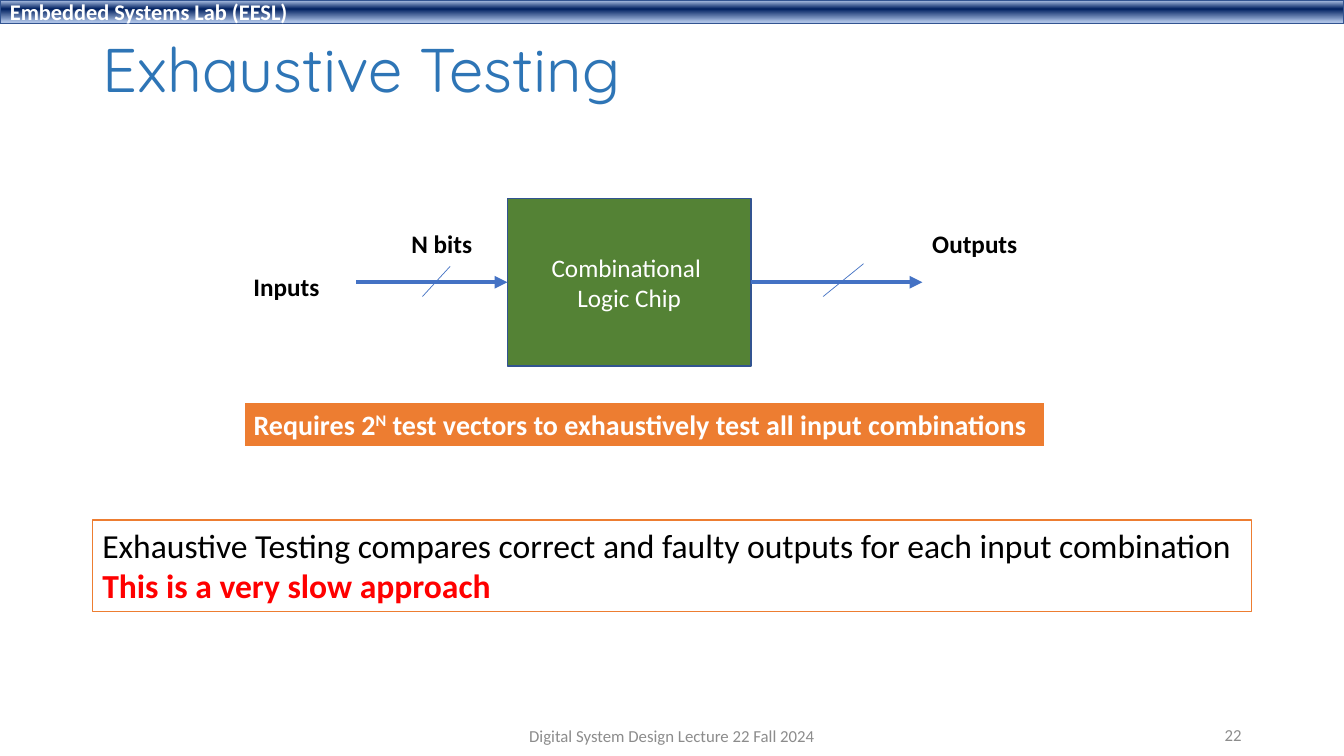
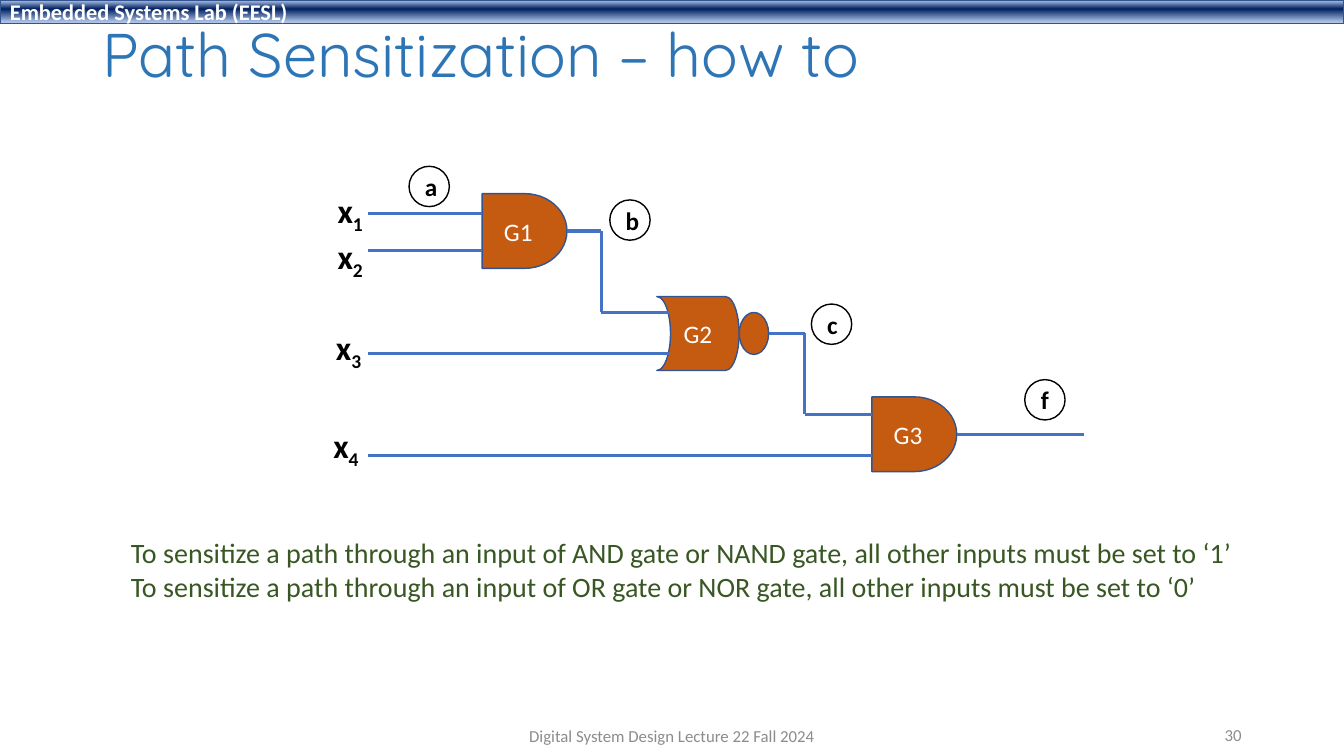
"""Build two digital-design lecture slides on a grid of 160 columns by 90 rows."""
from itertools import pairwise

from lxml.etree import SubElement
from pptx import Presentation
from pptx.dml.color import RGBColor
from pptx.enum.shapes import MSO_CONNECTOR as Connector
from pptx.enum.shapes import MSO_SHAPE as Shape
from pptx.enum.text import MSO_ANCHOR as Anchor
from pptx.enum.text import PP_ALIGN as Align
from pptx.oxml.ns import qn
from pptx.util import Inches, Pt

COLUMNS, ROWS = 160, 90
CELL = Inches(1) // 12
MARGIN, CONTENT_WIDTH = 11, 138
LABEL_HEIGHT, NODE_SIZE = 4.8, 4.8
GATE_WIDTH, GATE_HEIGHT = 10.1, 8.9

WHITE = RGBColor(0xFF, 0xFF, 0xFF)
BLACK = RGBColor(0x00, 0x00, 0x00)
RED = RGBColor(0xFF, 0x00, 0x00)
GREY = RGBColor(0x8C, 0x8C, 0x8C)
TITLE_BLUE = RGBColor(0x2E, 0x75, 0xB6)
WIRE_BLUE = RGBColor(0x44, 0x72, 0xC4)
EDGE_BLUE = RGBColor(0x32, 0x54, 0x91)
CHIP_GREEN = RGBColor(0x54, 0x82, 0x35)
NOTE_GREEN = RGBColor(0x38, 0x57, 0x23)
ORANGE = RGBColor(0xED, 0x7D, 0x31)
GATE_ORANGE = RGBColor(0xC5, 0x5A, 0x11)
BAND_NAVY = RGBColor(0x00, 0x20, 0x60)
BAND_TOP = RGBColor(0xAB, 0xC0, 0xE4)
BAND_BOTTOM = RGBColor(0xAC, 0xC1, 0xE5)
BAND_STOPS = ((2, BAND_TOP), (38, BAND_NAVY), (93, BAND_BOTTOM))

BODY_FONT, TITLE_FONT = "Calibri", "Quicksand"
BAND_TEXT = "Embedded Systems Lab (EESL)"
FOOTER_TEXT = "Digital System Design Lecture 22 Fall 2024"


def cells(*values):
    return [round(value * CELL) for value in values]


def write(box, lines, size, color, bold=False, align=Align.LEFT,
          anchor=Anchor.TOP, wrap=True, font=BODY_FONT):
    frame = box.text_frame
    frame.text = "\n".join(lines)
    frame.word_wrap = wrap
    frame.vertical_anchor = anchor
    for para in frame.paragraphs:
        para.alignment = align
        for span in para.runs:
            style = span.font
            style.name, style.size, style.bold = font, Pt(size), bold
            style.color.rgb = color


def shift_part(box, text, part, baseline):
    para = box.text_frame.paragraphs[0]
    first = para.runs[0]
    before, after = text.split(part, 1)
    first.text = before
    for piece, shift in ((part, baseline), (after, 0)):
        if piece:
            span = para.add_run()
            span.text = piece
            span.font.name, span.font.size = first.font.name, first.font.size
            span.font.bold = first.font.bold
            span.font.color.rgb = first.font.color.rgb
            span.font._element.set("baseline", str(shift * 1000))


def add_text(page, area, lines, size, color, **style):
    box = page.shapes.add_textbox(*cells(*area))
    write(box, lines, size, color, **style)
    return box


def add_block(page, kind, area, fill=None, edge=EDGE_BLUE, width=1):
    block = page.shapes.add_shape(kind, *cells(*area))
    block.shadow.inherit = False
    if fill is None:
        block.fill.background()
    else:
        block.fill.solid()
        block.fill.fore_color.rgb = fill
    block.line.color.rgb = edge
    block.line.width = Pt(width)
    return block


def add_wire(page, *points, width=2.25, arrow=False):
    for start, end in pairwise(points):
        wire = page.shapes.add_connector(Connector.STRAIGHT, *cells(*start, *end))
        wire.line.color.rgb = WIRE_BLUE
        wire.line.width = Pt(width)
        if arrow:
            SubElement(wire.line._get_or_add_ln(), qn("a:tailEnd"), type="triangle")
        SubElement(wire._element.spPr, qn("a:effectLst"))


def add_band(page):
    band = add_block(page, Shape.RECTANGLE, (0, 0, COLUMNS, 2.8), BAND_NAVY)
    band._element.remove(band._element.find(qn("p:style")))
    band.fill.gradient()
    band.fill.gradient_angle = 270
    stops = band._element.spPr.find(qn("a:gradFill")).find(qn("a:gsLst"))
    for stop in list(stops):
        stops.remove(stop)
    for position, color in BAND_STOPS:
        stop = SubElement(stops, qn("a:gs"), pos=str(position * 1000))
        SubElement(stop, qn("a:srgbClr"), val=str(color))
    write(band, [BAND_TEXT], 16, WHITE, bold=True, anchor=Anchor.MIDDLE)


def add_page(deck, title, title_top, title_height, number):
    page = deck.slides.add_slide(deck.slide_layouts[6])
    add_band(page)
    heading = add_text(page, (MARGIN, title_top, CONTENT_WIDTH, title_height), [title],
                       44, TITLE_BLUE, font=TITLE_FONT, anchor=Anchor.MIDDLE)
    heading.text_frame.paragraphs[0].line_spacing = 0.9
    add_text(page, (53, 85.2, 54, LABEL_HEIGHT), [FOOTER_TEXT], 12, GREY,
             align=Align.CENTER, anchor=Anchor.MIDDLE)
    add_text(page, (113, 85.1, 36, LABEL_HEIGHT), [str(number)], 12, GREY,
             align=Align.RIGHT, anchor=Anchor.MIDDLE)
    return page


def add_gate(page, kind, name, left, middle, width=GATE_WIDTH, height=GATE_HEIGHT):
    gate = add_block(page, kind, (left, middle - height / 2, width, height), GATE_ORANGE)
    write(gate, [name], 18, WHITE, align=Align.CENTER, anchor=Anchor.MIDDLE)
    return gate


def add_node(page, name, left, top):
    node = add_block(page, Shape.OVAL, (left, top, NODE_SIZE, NODE_SIZE), edge=BLACK)
    write(node, [name], 18, BLACK, bold=True, align=Align.CENTER, anchor=Anchor.MIDDLE)


def add_input(page, number, left, top):
    text = f"x{number}"
    label = add_text(page, (left, top, 5.6, 6), [text], 24, BLACK, bold=True, wrap=False)
    shift_part(label, text, str(number), -25)


def build_exhaustive_testing(deck):
    page = add_page(deck, "Exhaustive Testing", 3.4, 10.4, 22)
    chip_left, chip_width, middle = 60.4, 29, 33.6
    chip_right = chip_left + chip_width
    chip = add_block(page, Shape.RECTANGLE, (chip_left, middle - 10, chip_width, 20),
                     CHIP_GREEN)
    write(chip, ["Combinational ", "Logic Chip"], 18, WHITE,
          align=Align.CENTER, anchor=Anchor.MIDDLE)

    for start, end in ((42.4, chip_left), (chip_right, 109.8)):
        add_wire(page, (start, middle), (end, middle), width=3, arrow=True)
    add_wire(page, (53.6, 31.7), (50.3, 35.3), width=0.5)
    add_wire(page, (102.8, 31.4), (98, 35.3), width=0.5)
    for name, left, top, width in (("N bits", 47.8, 26.6, 9.7),
                                   ("Inputs", 29, 31.7, 10.3),
                                   ("Outputs", 109.8, 26.6, 12.6)):
        add_text(page, (left, top, width, LABEL_HEIGHT), [name], 18, BLACK,
                 bold=True, wrap=False)

    rule = "Requires 2N test vectors to exhaustively test all input combinations"
    banner = add_block(page, Shape.RECTANGLE, (29, 47.9, 95.4, 5.3), ORANGE, WHITE, 1.5)
    write(banner, [rule], 20, WHITE, bold=True, wrap=False)
    shift_part(banner, rule, "N", 30)

    summary = add_block(page, Shape.RECTANGLE, (MARGIN, 61.9, CONTENT_WIDTH, 10.9),
                        WHITE, ORANGE)
    write(summary, [
        "Exhaustive Testing compares correct and faulty outputs for each input combination",
        "This is a very slow approach",
    ], 24, BLACK, wrap=False)
    warning = summary.text_frame.paragraphs[1].runs[0].font
    warning.bold, warning.color.rgb = True, RED


def build_path_sensitization(deck):
    page = add_page(deck, "Path Sensitization – how to", 1.1, 11.5, 30)
    inputs_x, first_x, second_x, third_x = 43.8, 57.4, 79.8, 103.8
    first_y, second_y, third_y = 27.5, 39.7, 51.7

    add_gate(page, Shape.FLOWCHART_DELAY, "G1", first_x, first_y)
    nor_gate = add_gate(page, Shape.FLOWCHART_STORED_DATA, "G2", 78.2, second_y, 9.8, 8.8)
    nor_gate._element.spPr.find(qn("a:xfrm")).set("flipH", "1")
    add_block(page, Shape.OVAL, (88, second_y - 2.5, 3.5, 5), GATE_ORANGE)
    add_gate(page, Shape.FLOWCHART_DELAY, "G3", third_x, third_y)

    for end, height in ((first_x, 25.4), (first_x, 29.8), (second_x, 42.1), (third_x, 54.2)):
        add_wire(page, (inputs_x, height), (end, height))
    for start, bend, end, top, bottom in ((67.5, 71.6, second_x, first_y, 37.2),
                                          (91.5, 95.8, third_x, second_y, 49.3)):
        add_wire(page, (start, top), (bend, top), (bend, bottom), (end, bottom))
    add_wire(page, (third_x + GATE_WIDTH, third_y), (129, third_y))

    label_places = ((39, 22), (39, 27.5), (38.8, 38.3), (38.5, 50))
    for number, (left, top) in enumerate(label_places, 1):
        add_input(page, number, left, top)
    for name, left, top in (("a", 48.7, 19.8), ("b", 72.6, 23.8),
                            ("c", 96.6, 36.2), ("f", 122, 45.2)):
        add_node(page, name, left, top)

    add_text(page, (14.4, 63.2, 134.6, 9.2), [
        f"To sensitize a path through an input of {gates}, all other inputs must be set to ‘{value}’"
        for gates, value in (("AND gate or NAND gate", 1), ("OR gate or NOR gate", 0))
    ], 20, NOTE_GREEN, wrap=False)


def main():
    deck = Presentation()
    deck.slide_width, deck.slide_height = cells(COLUMNS, ROWS)
    build_exhaustive_testing(deck)
    build_path_sensitization(deck)
    deck.save("out.pptx")


if __name__ == "__main__":
    main()
